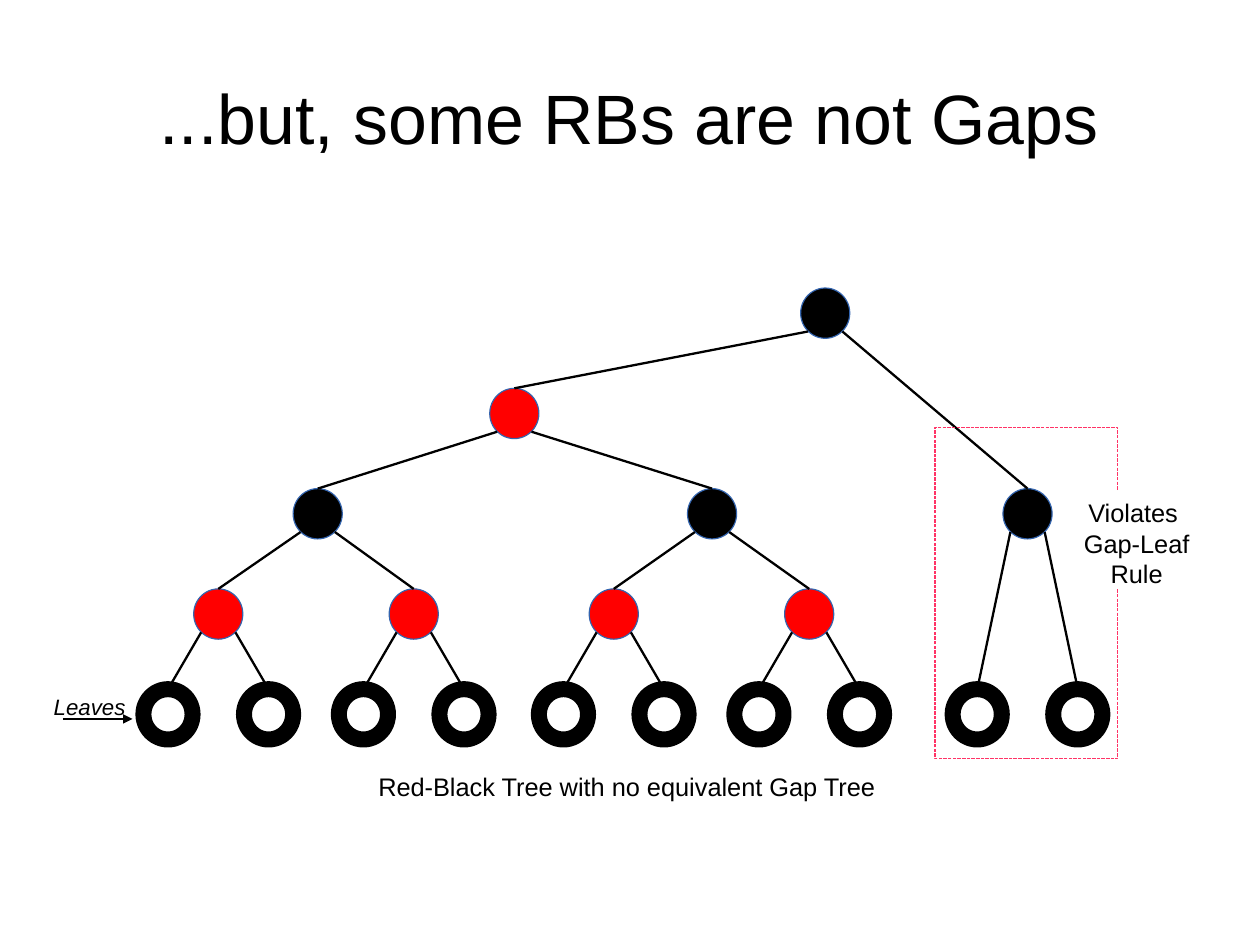
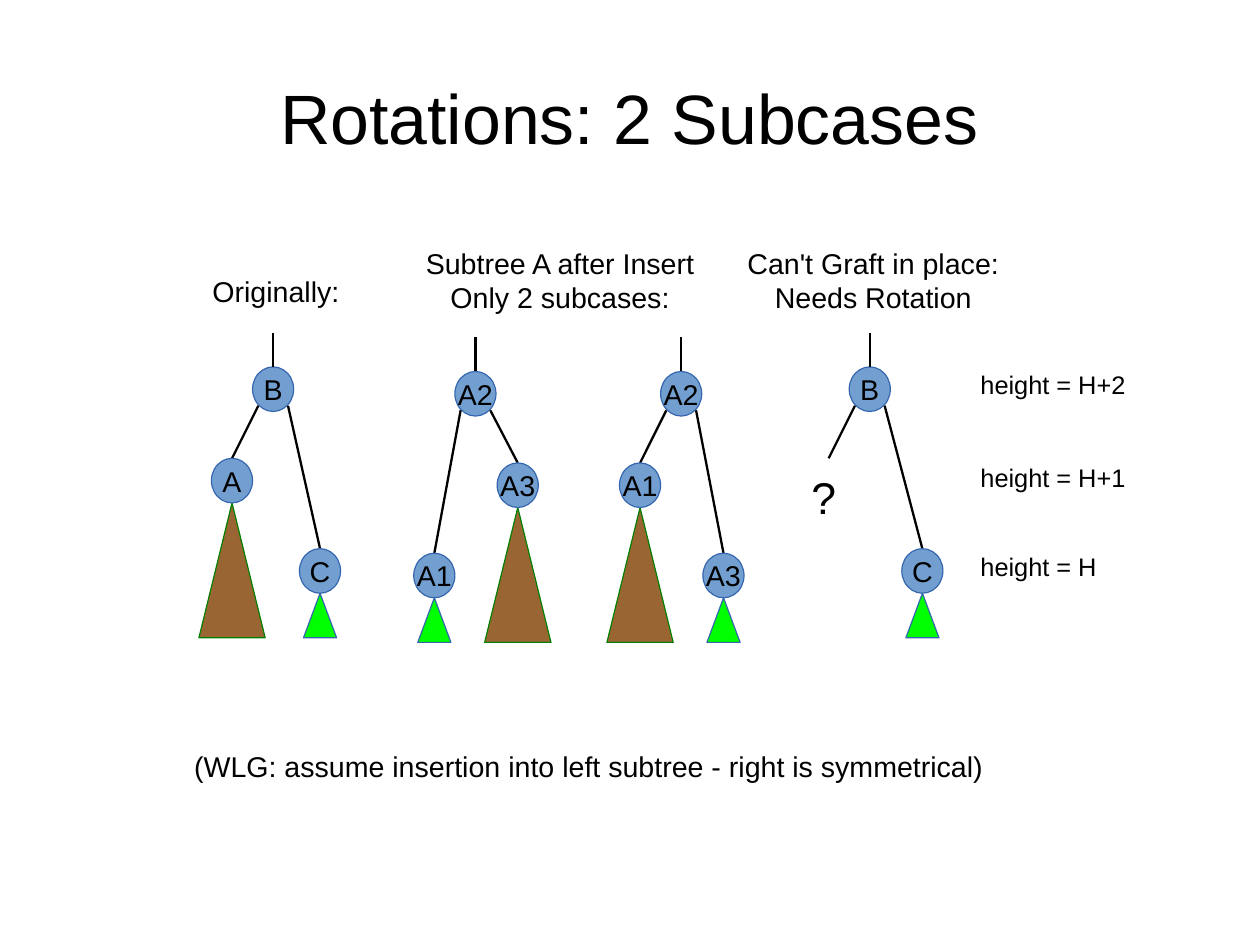
from dataclasses import dataclass

from pptx import Presentation
from pptx.dml.color import RGBColor as Color
from pptx.enum.dml import MSO_LINE as Dash
from pptx.enum.shapes import MSO_CONNECTOR as Connector, MSO_SHAPE as Preset
from pptx.enum.text import MSO_ANCHOR as Anchor, PP_ALIGN as Align
from pptx.oxml.ns import qn
from pptx.oxml.xmlchemy import OxmlElement
from pptx.util import Inches, Pt


@dataclass(frozen=True)
class Theme:
    font: str = "Arial"
    black: str = "000000"
    white: str = "FFFFFF"
    red: str = "FF0000"
    pink: str = "FF3366"
    blue: str = "729FCF"
    blue_edge: str = "3465AF"
    brown: str = "996633"
    green: str = "00FF00"
    green_edge: str = "008000"
    title_size: float = 44
    mark_size: float = 28
    label_size: float = 18
    caption_size: float = 16
    note_size: float = 14
    line_width: float = 1.45
    ring_width: float = 10.09


THEME = Theme()

# The page measures 28 by 21 centimetres.
CENTIMETRES_PER_INCH = 2.54
PAGE_WIDTH = 28 / CENTIMETRES_PER_INCH
PAGE_HEIGHT = 21 / CENTIMETRES_PER_INCH

NODE_WIDTH, NODE_HEIGHT = 0.43, 0.44
ROOT_TOP, LEAF_TOP, LEVEL_COUNT = 2.52, 6.03, 5
LEVEL_STEP = (LEAF_TOP - ROOT_TOP) / (LEVEL_COUNT - 1)
LEAF_OFFSET = 0.44

LABELLED_WIDTH, LABELLED_HEIGHT = 0.36, 0.39
HIGH_DROP, LOW_DROP = 0.8, 1.59


@dataclass(frozen=True)
class Node:
    center: float
    color: str
    children: tuple = ()
    level_gap: int = 1


def with_leaves(center, color, level_gap=1, leaf_gap=1):
    leaves = tuple(Node(center + side * LEAF_OFFSET, "leaf", level_gap=leaf_gap)
                   for side in (-1, 1))
    return Node(center, color, leaves, level_gap)


def fill_text(shape, text, *, size, align=Align.LEFT, anchor=Anchor.TOP,
              italic=False, wrap=True, margins=(0.1, 0.05)):
    frame = shape.text_frame
    frame.word_wrap = wrap
    frame.vertical_anchor = anchor
    frame.margin_left = frame.margin_right = Inches(margins[0])
    frame.margin_top = frame.margin_bottom = Inches(margins[1])
    for index, line in enumerate(text.split("\n")):
        para = frame.add_paragraph() if index else frame.paragraphs[0]
        para.alignment = align
        span = para.add_run()
        span.text = line
        span.font.name = THEME.font
        span.font.size = Pt(size)
        span.font.italic = italic
        span.font.color.rgb = Color.from_string(THEME.black)


def add_text(slide, text, left, top, width, height, **text_format):
    box = slide.shapes.add_textbox(*map(Inches, (left, top, width, height)))
    fill_text(box, text, **text_format)
    return box


def add_shape(slide, preset, left, top, width, height, *, fill=None,
              edge=None, edge_width=0):
    shape = slide.shapes.add_shape(preset, *map(Inches, (left, top, width, height)))
    shape.shadow.inherit = False
    if fill:
        shape.fill.solid()
        shape.fill.fore_color.rgb = Color.from_string(fill)
    else:
        shape.fill.background()
    if edge:
        shape.line.color.rgb = Color.from_string(edge)
        shape.line.width = Pt(edge_width)
    else:
        shape.line.fill.background()
    return shape


def add_line(slide, start, end, arrow=False):
    line = slide.shapes.add_connector(Connector.STRAIGHT, *map(Inches, (*start, *end)))
    line.line.color.rgb = Color.from_string(THEME.black)
    line.line.width = Pt(THEME.line_width)
    properties = line.element.spPr
    if arrow:
        head = OxmlElement("a:tailEnd")
        head.set("type", "triangle")
        properties.find(qn("a:ln")).append(head)
    properties.append(OxmlElement("a:effectLst"))
    return line


def add_title_slide(deck, title):
    slide = deck.slides.add_slide(deck.slide_layouts[6])
    add_text(slide, title, 0.55, 0.33, 9.92, 1.38, size=THEME.title_size,
             align=Align.CENTER, anchor=Anchor.MIDDLE, margins=(0, 0))
    return slide


def draw_red_black_tree(slide, node, level=0):
    """Draw a node and everything below it; return the node's circle."""
    top = ROOT_TOP + level * LEVEL_STEP
    if node.color == "leaf":
        style = dict(edge=THEME.black, edge_width=THEME.ring_width)
    else:
        style = dict(fill=node.color, edge=THEME.blue_edge)
    circle = add_shape(slide, Preset.OVAL, node.center - NODE_WIDTH / 2, top,
                       NODE_WIDTH, NODE_HEIGHT, **style)
    for side, child in zip((-1, 1), node.children):
        child_level = level + child.level_gap
        child_circle = draw_red_black_tree(slide, child, child_level)
        edge = add_line(slide, (node.center + side * 0.15, top + 0.38),
                        (child.center, ROOT_TOP + child_level * LEVEL_STEP))
        edge.end_connect(child_circle, 0)
    return circle


def add_labelled_node(slide, label, center, top):
    circle = add_shape(slide, Preset.OVAL, center - LABELLED_WIDTH / 2, top,
                       LABELLED_WIDTH, LABELLED_HEIGHT,
                       fill=THEME.blue, edge=THEME.blue_edge)
    fill_text(circle, label, size=THEME.label_size, align=Align.CENTER,
              anchor=Anchor.MIDDLE, wrap=False)
    return circle


def add_subtree(slide, center, top, tall):
    if tall:
        width, height, fill, edge = 0.58, 1.18, THEME.brown, THEME.green_edge
    else:
        width, height, fill, edge = 0.29, 0.39, THEME.green, THEME.blue_edge
    add_shape(slide, Preset.ISOSCELES_TRIANGLE, center - width / 2,
              top + LABELLED_HEIGHT, width, height, fill=fill, edge=edge)


def draw_rotation_case(slide, root_label, center, top, left_child, right_child):
    """Draw a root with two (label, offset, tall) children; "?" stays a bare mark."""
    root = add_labelled_node(slide, root_label, center, top)
    stem = add_line(slide, (center, top - 0.3), (center, top))
    stem.end_connect(root, 0)
    for side, (label, offset, tall) in ((-1, left_child), (1, right_child)):
        child_center = center + offset
        child_top = top + (HIGH_DROP if tall else LOW_DROP)
        edge = add_line(slide, (center + side * 0.13, top + 0.34),
                        (child_center, child_top))
        if label == "?":
            add_text(slide, label, child_center - 0.25, child_top + 0.05, 0.41, 0.53,
                     size=THEME.mark_size, wrap=False)
            continue
        add_subtree(slide, child_center, child_top, tall)
        edge.end_connect(add_labelled_node(slide, label, child_center, child_top), 0)


def build_red_black_slide(deck):
    slide = add_title_slide(deck, "...but, some RBs are not Gaps")
    caption = dict(size=THEME.caption_size, margins=(0.11, 0.06))
    add_text(slide, "Red-Black Tree with no equivalent Gap Tree",
             3.2, 6.69, 4.74, 0.53, **caption)

    black_nodes = tuple(
        Node(center, THEME.black, tuple(with_leaves(child, THEME.red) for child in children))
        for center, children in ((2.78, (1.91, 3.62)), (6.23, (5.37, 7.08))))
    violating_node = with_leaves(8.99, THEME.black, level_gap=2, leaf_gap=2)
    red_node = Node(4.5, THEME.red, black_nodes)
    draw_red_black_tree(slide, Node(7.22, THEME.black, (red_node, violating_node)))

    add_text(slide, "Leaves", 0.36, 6.01, 0.85, 0.48, size=THEME.note_size,
             italic=True, wrap=False, margins=(0.11, 0.06))
    add_line(slide, (0.55, 6.29), (1.16, 6.29), arrow=True)
    frame = add_shape(slide, Preset.RECTANGLE, 8.18, 3.74, 1.6, 2.9, edge=THEME.pink)
    frame.line.dash_style = Dash.SQUARE_DOT
    violation = add_shape(slide, Preset.RECTANGLE, 9.31, 4.29, 1.27, 0.86, fill=THEME.white)
    fill_text(violation, "Violates \nGap-Leaf Rule", align=Align.CENTER, **caption)


def build_rotation_slide(deck):
    slide = add_title_slide(deck, "Rotations: 2 Subcases")
    label = dict(size=THEME.label_size)
    add_text(slide, "Originally:", 1.76, 2.35, 1.31, 0.38, wrap=False, **label)
    add_text(slide, "Subtree A after Insert\nOnly 2 subcases:", 3.6, 2.1, 2.6, 0.7,
             align=Align.CENTER, **label)
    add_text(slide, "Can't Graft in place:\nNeeds Rotation", 6.44, 2.1, 2.4, 0.66,
             align=Align.CENTER, wrap=False, **label)

    cases = (
        ("B", 2.39, 3.21, ("A", -0.36, True), ("C", 0.41, False)),
        ("A2", 4.16, 3.25, ("A1", -0.36, False), ("A3", 0.37, True)),
        ("A2", 5.96, 3.25, ("A1", -0.36, True), ("A3", 0.37, False)),
        ("B", 7.61, 3.21, ("?", -0.36, True), ("C", 0.46, False)),
    )
    for case in cases:
        draw_rotation_case(slide, *case)

    for text, top in (("height = H+2", 3.18), ("height = H+1", 3.99), ("height = H", 4.77)):
        add_text(slide, text, 8.48, top, 2.16, 0.55, size=THEME.caption_size)
    add_text(slide, "(WLG: assume insertion into left subtree - right is symmetrical)",
             1.6, 6.5, 7.3, 0.38, **label)


def main():
    deck = Presentation()
    deck.slide_width, deck.slide_height = Inches(PAGE_WIDTH), Inches(PAGE_HEIGHT)
    deck.element.sldSz.attrib.pop("type", None)
    build_red_black_slide(deck)
    build_rotation_slide(deck)
    deck.save("out.pptx")


if __name__ == "__main__":
    main()
